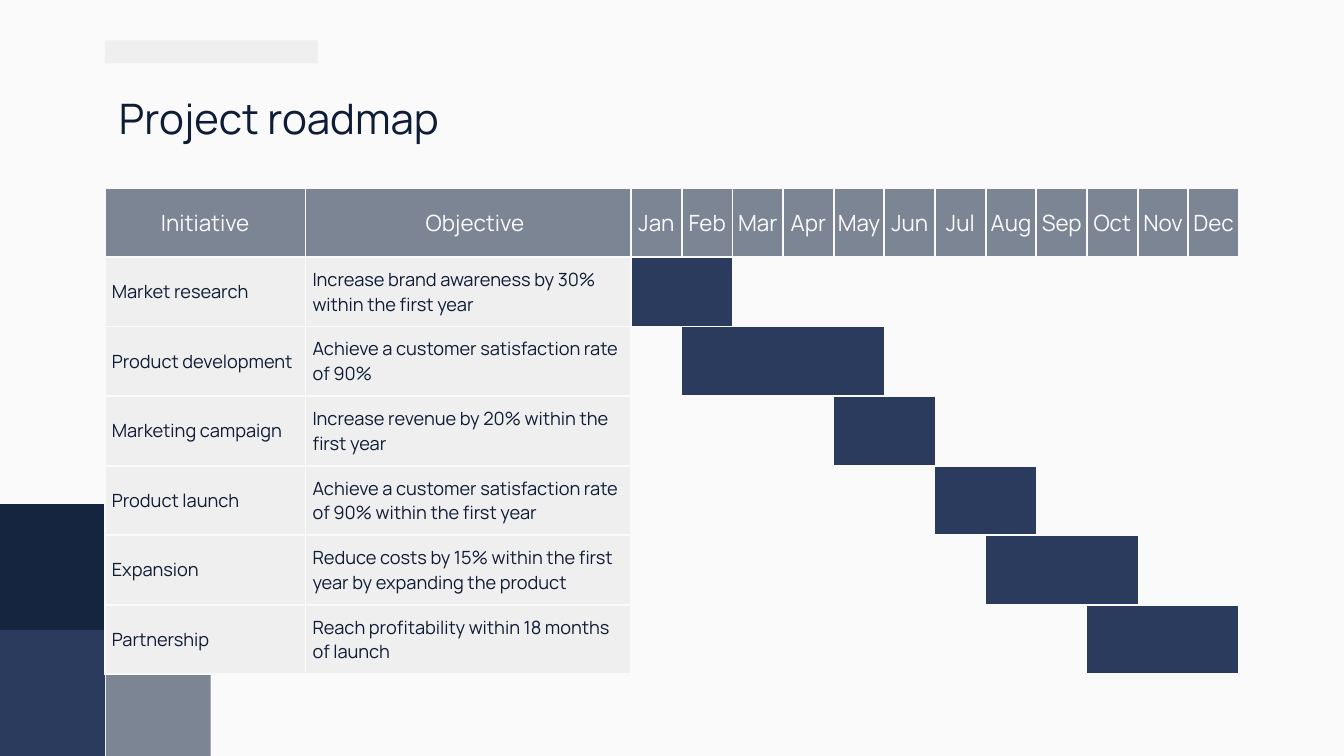
import pptx
import pptx.util
import pptx.dml.color
import pptx.enum.shapes
import pptx.enum.text
import pptx.oxml.ns
import lxml.etree

Inches = pptx.util.Inches
ALIGN = pptx.enum.text.PP_ALIGN
THEME = {
    "font": "Manrope",
    "paper": "FAFAFA",
    "pale": "EFEFEF",
    "gray": "7C8594",
    "blue": "2B3B5D",
    "navy": "15253F",
    "ink": "0E1D35",
    "title": 30,
    "header": 16,
    "body": 13,
    "border": 1.5,
}
MONTHS = ["Jan", "Feb", "Mar", "Apr", "May", "Jun", "Jul", "Aug", "Sep", "Oct", "Nov", "Dec"]
INITIATIVES = [
    ("Market research", "Increase brand awareness by 30% within the first year", "Jan", "Feb"),
    ("Product development", "Achieve a customer satisfaction rate of 90%", "Feb", "May"),
    ("Marketing campaign", "Increase revenue by 20% within the first year", "May", "Jun"),
    ("Product launch", "Achieve a customer satisfaction rate of 90% within the first year", "Jul", "Aug"),
    ("Expansion", "Reduce costs by 15% within the first year by expanding the product", "Aug", "Oct"),
    ("Partnership", "Reach profitability within 18 months of launch", "Oct", "Dec"),
]
BLOCKS = [
    (1.05, 6.25, 1.04, 1.25, "gray"),
    (0, 6.25, 1.04, 1.25, "blue"),
    (0, 5, 1.04, 1.25, "navy"),
    (1.04, 0.4, 2.11, 0.23, "pale"),
]


def write_text(holder, text, size, color, margins, alignment=ALIGN.LEFT):
    frame = holder.text_frame
    frame.word_wrap = True
    for side, margin in zip(("left", "top", "right", "bottom"), margins):
        setattr(holder if hasattr(holder, "margin_left") else frame, "margin_" + side, Inches(margin))
    paragraph = frame.paragraphs[0]
    paragraph.alignment = alignment
    run = paragraph.add_run()
    run.text = text
    for name, value in {"name": THEME["font"], "size": pptx.util.Pt(THEME[size])}.items():
        setattr(run.font, name, value)
    run.font.color.rgb = pptx.dml.color.RGBColor.from_string(THEME[color])


def style_cell(cell, color, visible_sides):
    cell.vertical_anchor = pptx.enum.text.MSO_ANCHOR.MIDDLE
    properties = cell._tc.get_or_add_tcPr()
    qn = pptx.oxml.ns.qn
    for side in "LRTB":
        width = pptx.util.Pt(THEME["border"]) if side in visible_sides else 0
        line = lxml.etree.SubElement(properties, qn("a:ln" + side), w=str(int(width)))
        if side in visible_sides:
            fill = lxml.etree.SubElement(line, qn("a:solidFill"))
            lxml.etree.SubElement(fill, qn("a:srgbClr"), val=THEME["paper"])
        else:
            lxml.etree.SubElement(line, qn("a:noFill"))
    cell.fill.solid()
    cell.fill.fore_color.rgb = pptx.dml.color.RGBColor.from_string(THEME[color])


presentation = pptx.Presentation()
presentation.slide_width = Inches(13.33)
presentation.slide_height = Inches(7.5)
slide = presentation.slides.add_slide(presentation.slide_layouts[6])
slide.background.fill.solid()
slide.background.fill.fore_color.rgb = pptx.dml.color.RGBColor.from_string(THEME["paper"])

for left, top, width, height, color in BLOCKS:
    block = slide.shapes.add_shape(
        pptx.enum.shapes.MSO_SHAPE.RECTANGLE, Inches(left), Inches(top), Inches(width), Inches(height)
    )
    block.shadow.inherit = False
    block.fill.solid()
    block.fill.fore_color.rgb = pptx.dml.color.RGBColor.from_string(THEME[color])
    block.line.fill.background()

title = slide.shapes.add_textbox(Inches(1.05), Inches(0.79), Inches(11.23), Inches(0.84))
write_text(title, "Project roadmap", "title", "ink", [0.13] * 4)

column_widths = [1.99, 3.23] + [6.03 / len(MONTHS)] * len(MONTHS)
row_heights = [0.68] + [0.69] * len(INITIATIVES)
roadmap = slide.shapes.add_table(
    len(row_heights), len(column_widths),
    Inches(1.04), Inches(1.87), Inches(sum(column_widths)), Inches(sum(row_heights)),
).table
roadmap.first_row = False
roadmap.horz_banding = False
for column, width in zip(roadmap.columns, column_widths):
    column.width = Inches(width)
for row, height in zip(roadmap.rows, row_heights):
    row.height = Inches(height)

header_margins = [(0.13, 0.1, 0.13, 0.1), (0.13, 0, 0, 0)] + [(0, 0, 0, 0)] * len(MONTHS)
for index, label in enumerate(["Initiative", "Objective"] + MONTHS):
    cell = roadmap.cell(0, index)
    style_cell(cell, "gray", "LRTB")
    write_text(cell, label, "header", "paper", header_margins[index], ALIGN.CENTER)

for row, (initiative, objective, start, end) in enumerate(INITIATIVES, 1):
    for index, text in enumerate((initiative, objective)):
        cell = roadmap.cell(row, index)
        style_cell(cell, "pale", "LRTB")
        write_text(cell, text, "body", "ink", [0.07] * 4)
    for index, month in enumerate(MONTHS):
        active = MONTHS.index(start) <= index <= MONTHS.index(end)
        outer_side = {"Jan": "L", "Dec": "R"}.get(month, "")
        style_cell(roadmap.cell(row, index + 2), "blue" if active else "paper", "TB" + outer_side)

presentation.save("out.pptx")
